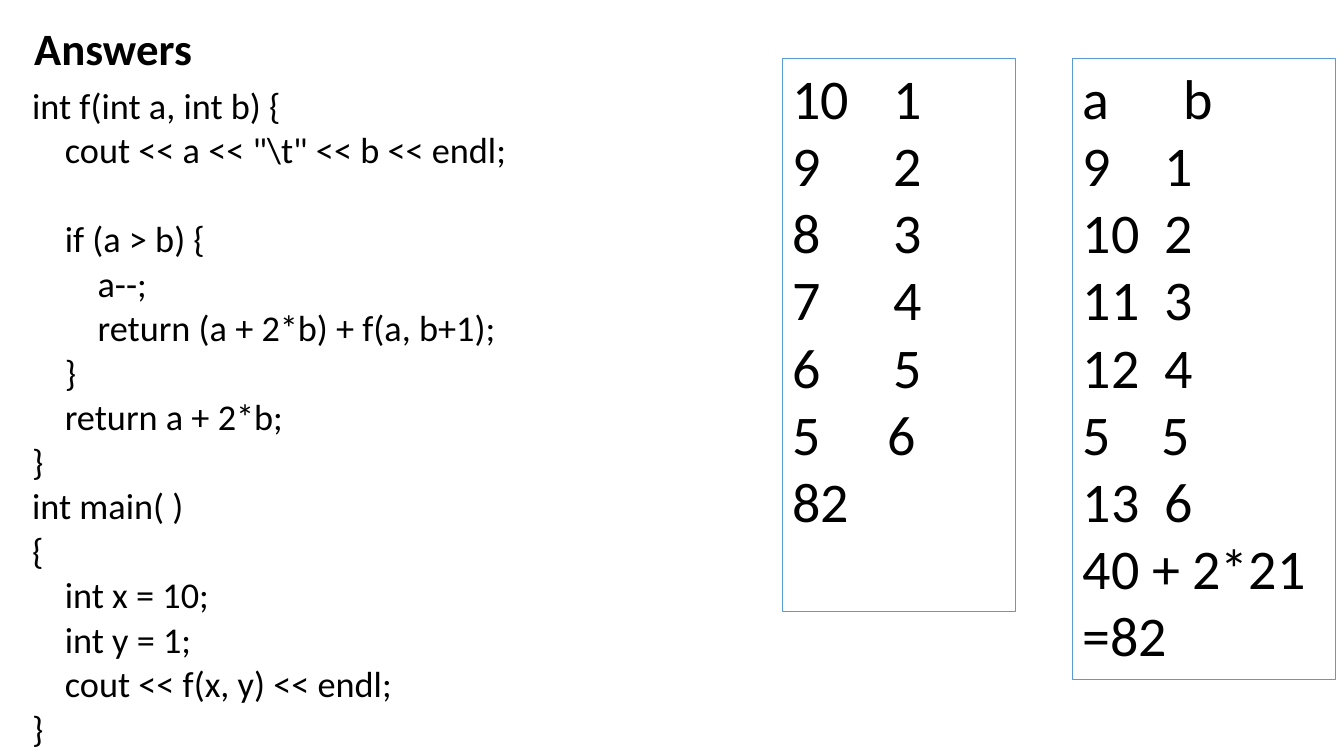
from lxml import etree
from pptx import Presentation
from pptx import util as u
from pptx.dml.color import RGBColor
from pptx.enum import shapes, text
from pptx.oxml.ns import qn

COLORS = {"text": "000000", "border": "5B9BD5"}
FONT = "Calibri"

TITLE = "Answers"
CODE = r"""int f(int a, int b) {
    cout << a << "\t" << b << endl;

    if (a > b) {
        a--;
        return (a + 2*b) + f(a, b+1);
    }
    return a + 2*b;
}
int main( )
{
    int x = 10;
    int y = 1;
    cout << f(x, y) << endl;
}"""
CODE_SIZE, CODE_SPACING, CODE_GAP = 25.9, 0.7, 10
CODE_LINE = CODE_SIZE * 1.22 * CODE_SPACING

# Each row: text, list number (or None), indent or tab stop in inches (or None)
OUTPUT_ROWS = [(f"{10 - i}\t{i + 1}", None, 1) for i in range(5)] + [
    ("6", 5, 0.94), ("82", None, None)]
TRACE_ROWS = [("a\tb", None, 1)] + [
    (str(i + 1), 9 + i, 0.81) for i in range(4)] + [
    ("5\t5", None, 0.78), ("6", 13, 0.81),
    ("40 + 2*21", None, None), ("=82", None, None)]
PANELS = [((7.76, 0.58, 2.31, 5.49), OUTPUT_ROWS),
          ((10.64, 0.58, 2.61, 6.16), TRACE_ROWS)]


def color(name):
    return RGBColor.from_string(COLORS[name])


def add_run(p, content, size, bold=False):
    r = p.add_run()
    r.text = content
    r.font.name, r.font.size, r.font.bold = FONT, u.Pt(size), bold
    r.font.color.rgb = color("text")


def paragraphs(tf, items):
    """Yield each item with its own paragraph, starting with the existing one."""
    for i, item in enumerate(items):
        yield tf.paragraphs[0] if i == 0 else tf.add_paragraph(), item


def add_textbox(s, box, wrap):
    tf = s.shapes.add_textbox(*map(u.Inches, box)).text_frame
    tf.word_wrap = wrap
    return tf


def set_column(p, number, offset):
    """Place the second column by a numbered hanging indent or by a tab stop."""
    pPr = p._p.get_or_add_pPr()
    emu = str(u.Inches(offset))
    if number is not None:
        pPr.set("marL", emu)
        pPr.set("indent", "-" + emu)
        etree.SubElement(pPr, qn("a:buFont"), typeface="+mj-lt")
        etree.SubElement(pPr, qn("a:buAutoNum"), type="arabicPlain", startAt=str(number))
    else:
        tabs = etree.SubElement(pPr, qn("a:tabLst"))
        etree.SubElement(tabs, qn("a:tab"), pos=emu, algn="l")


def add_code(s):
    tf = add_textbox(s, (0.22, 0.89, 12.86, 6.61), True)
    tf.margin_bottom = 0
    lines, gap = [], 0
    for line in CODE.split("\n"):
        if line:
            lines.append((line, gap))
            gap = CODE_GAP
        else:
            gap += CODE_LINE + CODE_GAP
    for p, (line, before) in paragraphs(tf, lines):
        p.line_spacing, p.space_before = CODE_SPACING, u.Pt(before)
        add_run(p, line, CODE_SIZE)


def add_panel(s, box, rows):
    sp = s.shapes.add_shape(shapes.MSO_SHAPE.RECTANGLE, *map(u.Inches, box))
    sp.shadow.inherit = False
    sp.fill.background()
    sp.line.color.rgb, sp.line.width = color("border"), u.Pt(0.75)
    tf = sp.text_frame
    tf.word_wrap, tf.vertical_anchor = True, text.MSO_ANCHOR.TOP
    tf.margin_bottom = 0
    for p, (content, number, offset) in paragraphs(tf, rows):
        p.alignment = text.PP_ALIGN.LEFT
        if offset is not None:
            set_column(p, number, offset)
        add_run(p, content, 40)


def main():
    prs = Presentation()
    prs.slide_width, prs.slide_height = u.Inches(13.33), u.Inches(7.5)
    s = prs.slides.add_slide(prs.slide_layouts[6])
    add_code(s)
    title = add_textbox(s, (0.24, 0.16, 1.78, 0.64), False)
    add_run(title.paragraphs[0], TITLE, 32, bold=True)
    for box, rows in PANELS:
        add_panel(s, box, rows)
    prs.save("out.pptx")


if __name__ == "__main__":
    main()
